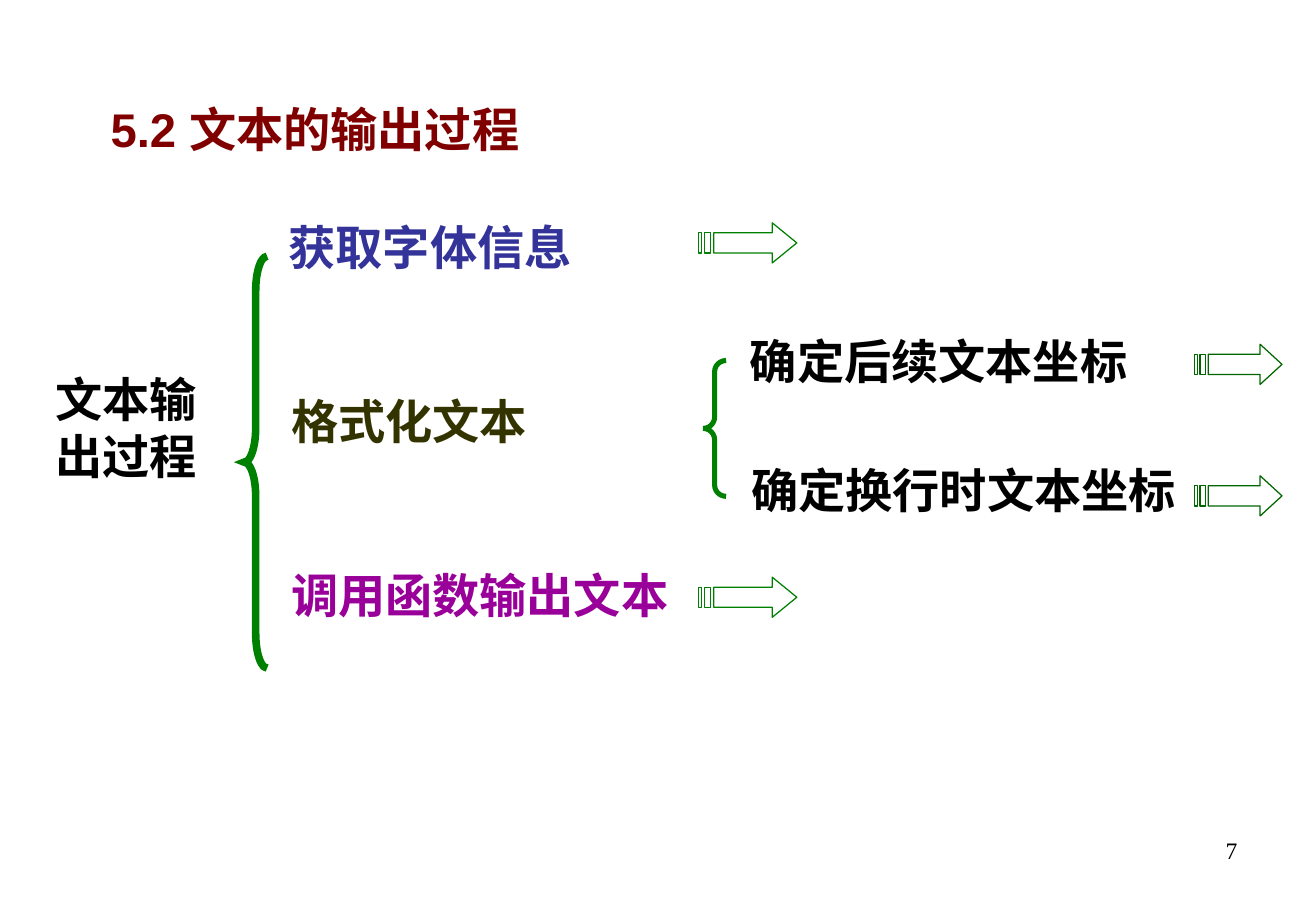
from dataclasses import dataclass

from lxml import etree
from pptx import Presentation
from pptx.dml.color import RGBColor
from pptx.enum.shapes import MSO_SHAPE
from pptx.enum.text import MSO_ANCHOR, PP_ALIGN
from pptx.oxml.ns import qn
from pptx.util import Cm, Pt

LEFT_BRACE = MSO_SHAPE.LEFT_BRACE
TOP = MSO_ANCHOR.TOP
LEFT, RIGHT = PP_ALIGN.LEFT, PP_ALIGN.RIGHT


@dataclass(frozen=True)
class Theme:
    title_font: str = "Arial"
    body_font: str = "Times New Roman"
    text_size: int = 28
    number_size: int = 14
    title: str = "800000"
    text: str = "000000"
    font_step: str = "333399"
    format_step: str = "333300"
    output_step: str = "990099"
    green: str = "008000"
    dark_green: str = "006600"


THEME = Theme()

TITLE = "5.2 文本的输出过程"
PAGE_NUMBER = "7"

LABELS = [
    ("文本输出过程", (0.91, 7.62, 3.99, 2.64), THEME.text),
    ("获取字体信息", (5.79, 4.45, 8.66, 1.45), THEME.font_step),
    ("格式化文本", (5.84, 8.08, 8.61, 1.45), THEME.format_step),
    ("调用函数输出文本", (5.84, 11.71, 8.66, 1.45), THEME.output_step),
    ("确定后续文本坐标", (15.44, 6.83, 9.35, 1.45), THEME.text),
    ("确定换行时文本坐标", (15.47, 9.53, 9.5, 1.45), THEME.text),
]

BRACES = [
    ((5.11, 5.36, 0.48, 8.61), 4.5),
    ((14.71, 7.54, 0.48, 2.84), 3),
]

ARROWS = [
    ((14.61, 4.66, 2.06, 0.84), THEME.green),
    ((14.61, 12.07, 2.06, 0.84), THEME.green),
    ((24.99, 7.2, 1.83, 0.84), THEME.dark_green),
    ((24.99, 9.95, 1.83, 0.84), THEME.dark_green),
]

ARROW_GRID = (32, 4)
ARROW_PARTS = [
    [(5, 1), (24, 1), (24, 0), (32, 2), (24, 4), (24, 3), (5, 3)],
    [(0, 1), (1, 1), (1, 3), (0, 3)],
    [(2, 1), (4, 1), (4, 3), (2, 3)],
]


def lengths(frame):
    return [Cm(value) for value in frame]


def write(box, text, font, size, color, bold, align=LEFT):
    para = box.text_frame.paragraphs[0]
    para.text = text
    para.alignment = align
    for span in para.runs:
        span.font.name = font
        span.font.size = Pt(size)
        span.font.bold = bold
        span.font.color.rgb = RGBColor.from_string(color)


def add_label(page, text, frame, size, color, bold, align=LEFT):
    box = page.shapes.add_textbox(*lengths(frame))
    box.text_frame.word_wrap = True
    write(box, text, THEME.body_font, size, color, bold, align)


def outline(shape, color, width):
    shape.shadow.inherit = False
    shape.fill.background()
    shape.line.color.rgb = RGBColor.from_string(color)
    shape.line.width = Pt(width)


def add_brace(page, frame, line_width):
    brace = page.shapes.add_shape(LEFT_BRACE, *lengths(frame))
    width, height = frame[2:]
    brace.adjustments[0] = height / 12 / width
    outline(brace, THEME.green, line_width)
    line = brace.element.spPr.find(qn("a:ln"))
    etree.SubElement(line, qn("a:miter"), lim="800000")


def add_striped_arrow(page, frame, color):
    left, top, width, height = lengths(frame)
    columns, rows = ARROW_GRID
    parts = [
        [(left + width * x / columns, top + height * y / rows) for x, y in part]
        for part in ARROW_PARTS
    ]
    builder = page.shapes.build_freeform(*parts[0][0])
    builder.add_line_segments(parts[0][1:], close=True)
    for part in parts[1:]:
        builder.move_to(*part[0])
        builder.add_line_segments(part[1:], close=True)
    outline(builder.convert_to_shape(), color, 0.75)


def add_title(page):
    title = page.shapes.title
    title.left, title.top, title.width, title.height = lengths((2.06, 1.7, 23.39, 3.18))
    title.text_frame.vertical_anchor = TOP
    title.text_frame.margin_top = Cm(0.4)
    write(title, TITLE, THEME.title_font, THEME.text_size, THEME.title, True)


def main():
    deck = Presentation()
    deck.slide_width, deck.slide_height = Cm(27.53), Cm(19.05)
    page = deck.slides.add_slide(deck.slide_layouts[5])
    add_title(page)
    for frame, color in ARROWS:
        add_striped_arrow(page, frame, color)
    for frame, line_width in BRACES:
        add_brace(page, frame, line_width)
    for text, frame, color in LABELS:
        add_label(page, text, frame, THEME.text_size, color, True)
    add_label(page, PAGE_NUMBER, (19.71, 17.35, 6.43, 1.32),
              THEME.number_size, THEME.text, False, RIGHT)
    deck.save("out.pptx")


if __name__ == "__main__":
    main()
